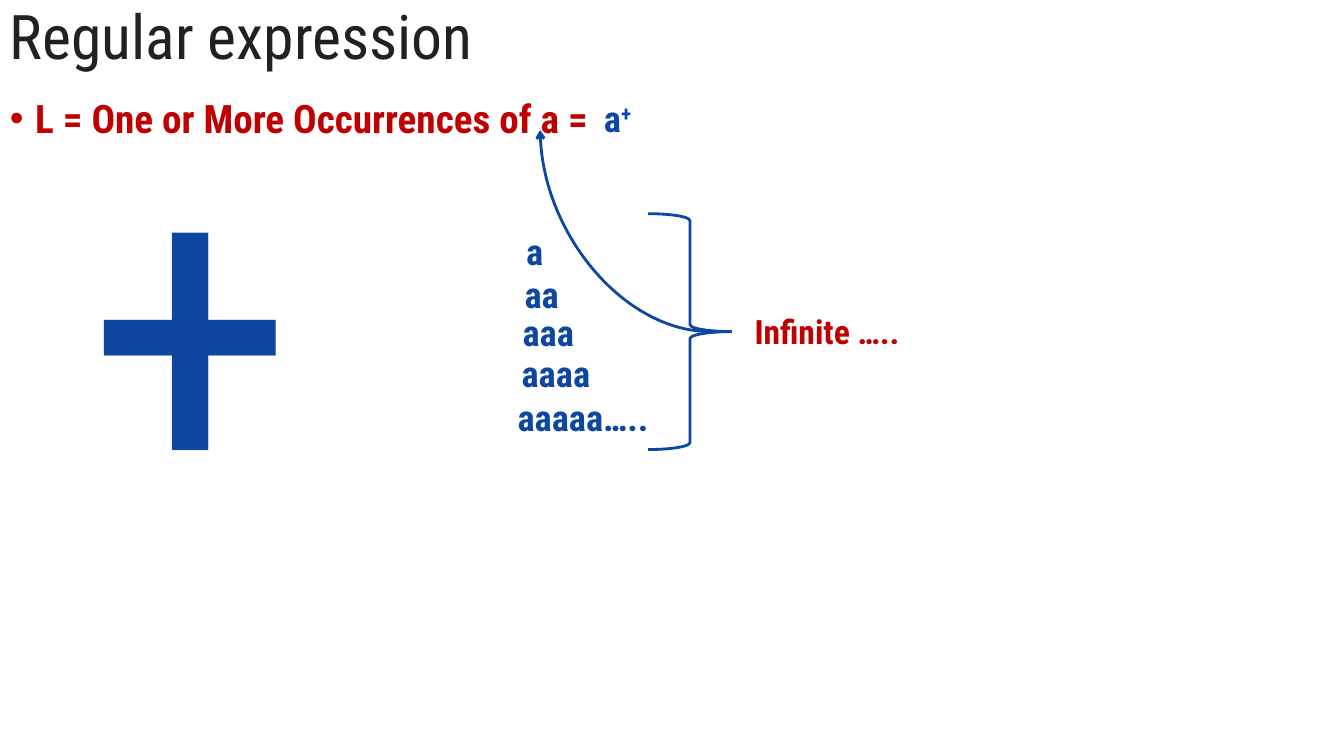
from dataclasses import dataclass
from typing import Any, Optional

import pptx
import pptx.dml.color
import pptx.enum.shapes
import pptx.enum.text
import pptx.oxml
import pptx.oxml.ns
import pptx.util

COLORS = {"ink": "212121", "blue": "0E47A1", "red": "C00000", "white": "FFFFFF"}
FONT = "Roboto Condensed"
SHAPES = pptx.enum.shapes.MSO_SHAPE
ANCHORS = pptx.enum.text.MSO_ANCHOR
ALIGN = pptx.enum.text.PP_ALIGN

deck = pptx.Presentation()
deck.slide_width = pptx.util.Inches(13.333)
deck.slide_height = pptx.util.Inches(7.5)
slide = deck.slides.add_slide(deck.slide_layouts[6])


@dataclass(frozen=True)
class Area:
    left: float
    top: float
    width: float
    height: float


@dataclass(frozen=True)
class Label:
    text: str
    area: Area
    size: int = 26
    color: str = "blue"
    bold: bool = True
    align: Any = ALIGN.CENTER
    anchor: Any = ANCHORS.MIDDLE
    spacing: Optional[float] = None
    bullet: bool = False
    superscript: str = ""
    fill: Optional[str] = None


def across(percent: float) -> int:
    return round(deck.slide_width * percent / 100)


def down(percent: float) -> int:
    return round(deck.slide_height * percent / 100)


def place(area: Area) -> tuple[int, int, int, int]:
    return across(area.left), down(area.top), across(area.width), down(area.height)


def rgb(color: str) -> pptx.dml.color.RGBColor:
    return pptx.dml.color.RGBColor.from_string(COLORS[color])


def apply(target: Any, values: dict[str, Any]) -> None:
    for name, value in values.items():
        setattr(target, name, value)


def add_xml(parent: Any, tag: str, **attributes: str) -> Any:
    child = pptx.oxml.parse_xml(f"<a:{tag} {pptx.oxml.ns.nsdecls('a')}/>")
    for name, value in attributes.items():
        child.set(name, value)
    parent.append(child)
    return child


def add_label(label: Label) -> None:
    if label.fill:
        holder = slide.shapes.add_shape(SHAPES.RECTANGLE, *place(label.area))
        holder.shadow.inherit = False
        holder.fill.solid()
        holder.fill.fore_color.rgb = rgb(label.fill)
        holder.line.fill.background()
    else:
        holder = slide.shapes.add_textbox(*place(label.area))
    apply(holder.text_frame, {"word_wrap": True, "vertical_anchor": label.anchor})
    paragraph = holder.text_frame.paragraphs[0]
    apply(paragraph, {"alignment": label.align, "line_spacing": label.spacing})
    if label.bullet:
        properties = paragraph._p.get_or_add_pPr()
        indent = pptx.util.Inches(0.25)
        properties.set("marL", str(indent))
        properties.set("indent", str(-indent))
        add_xml(properties, "buFont", typeface="Arial")
        add_xml(properties, "buChar", char="•")
    for text, baseline in ((label.text, None), (label.superscript, "30000")):
        if not text:
            continue
        run = paragraph.add_run()
        run.text = text
        apply(run.font, {"name": FONT, "size": pptx.util.Pt(label.size), "bold": label.bold})
        run.font.color.rgb = rgb(label.color)
        if baseline:
            run.font._element.set("baseline", baseline)


def style_line(line: Any) -> None:
    line.color.rgb = rgb("blue")
    line.width = pptx.util.Pt(2)


def add_brace(area: Area) -> None:
    brace = slide.shapes.add_shape(SHAPES.RIGHT_BRACE, *place(area))
    brace.shadow.inherit = False
    brace.fill.background()
    style_line(brace.line)


def add_curved_arrow(start: tuple[float, float], end: tuple[float, float]) -> None:
    curve = slide.shapes.add_connector(
        pptx.enum.shapes.MSO_CONNECTOR.CURVE,
        across(start[0]), down(start[1]), across(end[0]), down(end[1]),
    )
    style_line(curve.line)
    properties = curve._element.spPr
    properties.find(pptx.oxml.ns.qn("a:prstGeom")).set("prst", "curvedConnector2")
    add_xml(curve.line._get_or_add_ln(), "tailEnd", type="arrow")
    add_xml(properties, "effectLst")


HEADINGS = [
    Label("Regular expression", Area(0, 0, 100, 10.4), 44, "ink", False, ALIGN.LEFT, spacing=0.9),
    Label("L = One or More Occurrences of a =", Area(0, 12.53, 97.9, 81.47), 28, "red",
          align=ALIGN.LEFT, anchor=ANCHORS.TOP, spacing=0.9, bullet=True),
]
SYMBOLS = [
    Label("+", Area(2.03, 17.2, 24.38, 48.27), 300, bold=False),
    Label("a", Area(42.98, 10.67, 5.93, 9.87), superscript="+"),
]
WORDS = [
    Label("a", Area(36.83, 28.27, 5.93, 9.87)),
    Label("aa", Area(37.35, 34.4, 5.93, 8.93)),
    Label("aaa", Area(36.6, 38.93, 8.4, 9.87)),
    Label("aaaa", Area(37.35, 44.8, 8.03, 8.93)),
    Label("aaaaa…..", Area(37.35, 50.67, 12.08, 8.93)),
]
INFINITE = Label("Infinite …..", Area(54.45, 40, 14.18, 7.6), 24, "red", fill="white")


def main() -> None:
    for label in HEADINGS + SYMBOLS + WORDS:
        add_label(label)
    add_brace(Area(48.23, 28.27, 6.23, 31.2))
    add_label(INFINITE)
    add_curved_arrow((52.88, 43.87), (40.2, 17.2))
    deck.save("out.pptx")


if __name__ == "__main__":
    main()
